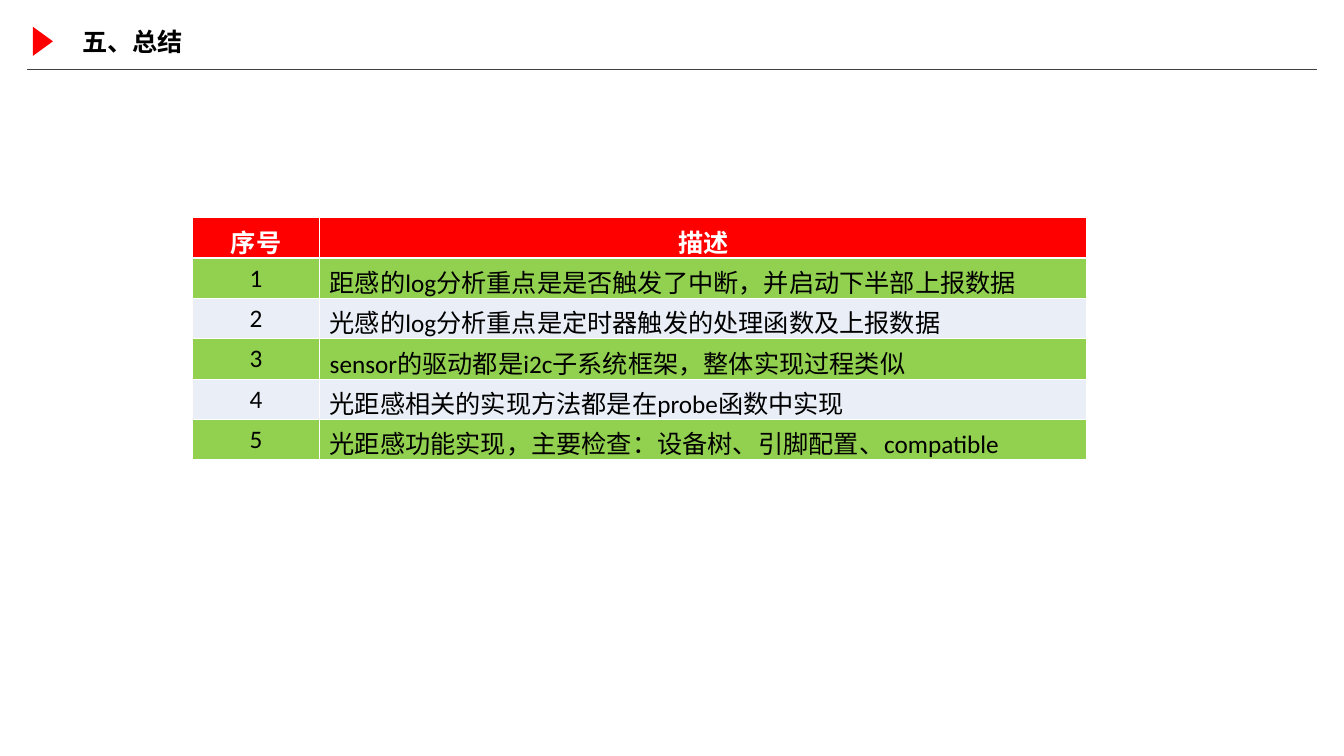
"""Build the summary slide with a heading and a numbered table of findings."""
from dataclasses import dataclass

from lxml import etree
from pptx import Presentation
from pptx.dml.color import RGBColor
from pptx.enum.shapes import MSO_CONNECTOR, MSO_SHAPE
from pptx.enum.text import MSO_AUTO_SIZE, PP_ALIGN
from pptx.oxml.ns import qn
from pptx.slide import Slide
from pptx.table import _Cell
from pptx.text.text import _Paragraph
from pptx.util import Inches, Pt

STRAIGHT = MSO_CONNECTOR.STRAIGHT
TRIANGLE = MSO_SHAPE.ISOSCELES_TRIANGLE
FIT_SHAPE = MSO_AUTO_SIZE.SHAPE_TO_FIT_TEXT
CENTER, LEFT = PP_ALIGN.CENTER, PP_ALIGN.LEFT

RED = RGBColor(0xFF, 0x00, 0x00)
GREEN = RGBColor(0x92, 0xD0, 0x50)
PALE_BLUE = RGBColor(0xEA, 0xEF, 0xF7)
WHITE = RGBColor(0xFF, 0xFF, 0xFF)
BLACK = RGBColor(0x00, 0x00, 0x00)
DARK_GREY = RGBColor(0x40, 0x40, 0x40)

LATIN_FONT = "Calibri"
CHINESE_FONT = "Noto Sans CJK SC"
TEXT_SIZE = Pt(18)
ROW_HEIGHT = 0.4
COLUMN_WIDTHS = (1.26, 7.61)
HEADINGS = ("序号", "描述")
FINDINGS = (
    "距感的log分析重点是是否触发了中断，并启动下半部上报数据",
    "光感的log分析重点是定时器触发的处理函数及上报数据",
    "sensor的驱动都是i2c子系统框架，整体实现过程类似",
    "光距感相关的实现方法都是在probe函数中实现",
    "光距感功能实现，主要检查：设备树、引脚配置、compatible",
)


@dataclass(frozen=True)
class TableRow:
    texts: tuple[str, str]
    fill: RGBColor
    color: RGBColor = BLACK
    bold: bool = False
    description_alignment: PP_ALIGN = LEFT


def add_text(paragraph: _Paragraph, text: str, color: RGBColor, bold: bool,
             alignment: PP_ALIGN, latin_font: str = LATIN_FONT) -> None:
    paragraph.alignment = alignment
    run = paragraph.add_run()
    run.text = text
    run.font.size = TEXT_SIZE
    run.font.bold = bold
    run.font.color.rgb = color
    run.font.name = latin_font
    east_asian = etree.SubElement(run.font._element, qn("a:ea"))
    east_asian.set("typeface", CHINESE_FONT)


def add_heading(slide: Slide) -> None:
    rule = slide.shapes.add_connector(
        STRAIGHT, Inches(0.27), Inches(0.69), Inches(13.06), Inches(0.69))
    rule.line.color.rgb = DARK_GREY
    rule.line.width = Pt(0.5)
    etree.SubElement(rule._element.spPr, qn("a:effectLst"))

    marker = slide.shapes.add_shape(
        TRIANGLE, Inches(0.28), Inches(0.31), Inches(0.29), Inches(0.2))
    marker.rotation = 90
    marker.shadow.inherit = False
    marker.fill.solid()
    marker.fill.fore_color.rgb = RED
    marker.line.fill.background()

    title = slide.shapes.add_textbox(
        Inches(0.71), Inches(0.21), Inches(1.21), Inches(0.4))
    title.text_frame.word_wrap = False
    title.text_frame.auto_size = FIT_SHAPE
    add_text(title.text_frame.paragraphs[0], "五、总结", BLACK, True, CENTER,
             CHINESE_FONT)


def fill_cell(cell: _Cell, text: str, row: TableRow,
              alignment: PP_ALIGN) -> None:
    cell.fill.solid()
    cell.fill.fore_color.rgb = row.fill
    add_text(cell.text_frame.paragraphs[0], text, row.color, row.bold,
             alignment)


def add_findings_table(slide: Slide) -> None:
    rows = [TableRow(HEADINGS, RED, WHITE, True, CENTER)]
    for number, finding in enumerate(FINDINGS, start=1):
        fill = GREEN if number % 2 else PALE_BLUE
        rows.append(TableRow((str(number), finding), fill))

    table = slide.shapes.add_table(
        len(rows), len(COLUMN_WIDTHS), Inches(1.91), Inches(2.16),
        Inches(sum(COLUMN_WIDTHS)), Inches(ROW_HEIGHT * len(rows))).table
    for column, width in zip(table.columns, COLUMN_WIDTHS):
        column.width = Inches(width)
    for table_row, row in zip(table.rows, rows):
        table_row.height = Inches(ROW_HEIGHT)
        alignments = (CENTER, row.description_alignment)
        for cell, text, alignment in zip(table_row.cells, row.texts, alignments):
            fill_cell(cell, text, row, alignment)


def main() -> None:
    presentation = Presentation()
    presentation.slide_width = Inches(13.33)
    presentation.slide_height = Inches(7.5)
    slide = presentation.slides.add_slide(presentation.slide_layouts[6])
    add_heading(slide)
    add_findings_table(slide)
    presentation.save("out.pptx")


if __name__ == "__main__":
    main()
